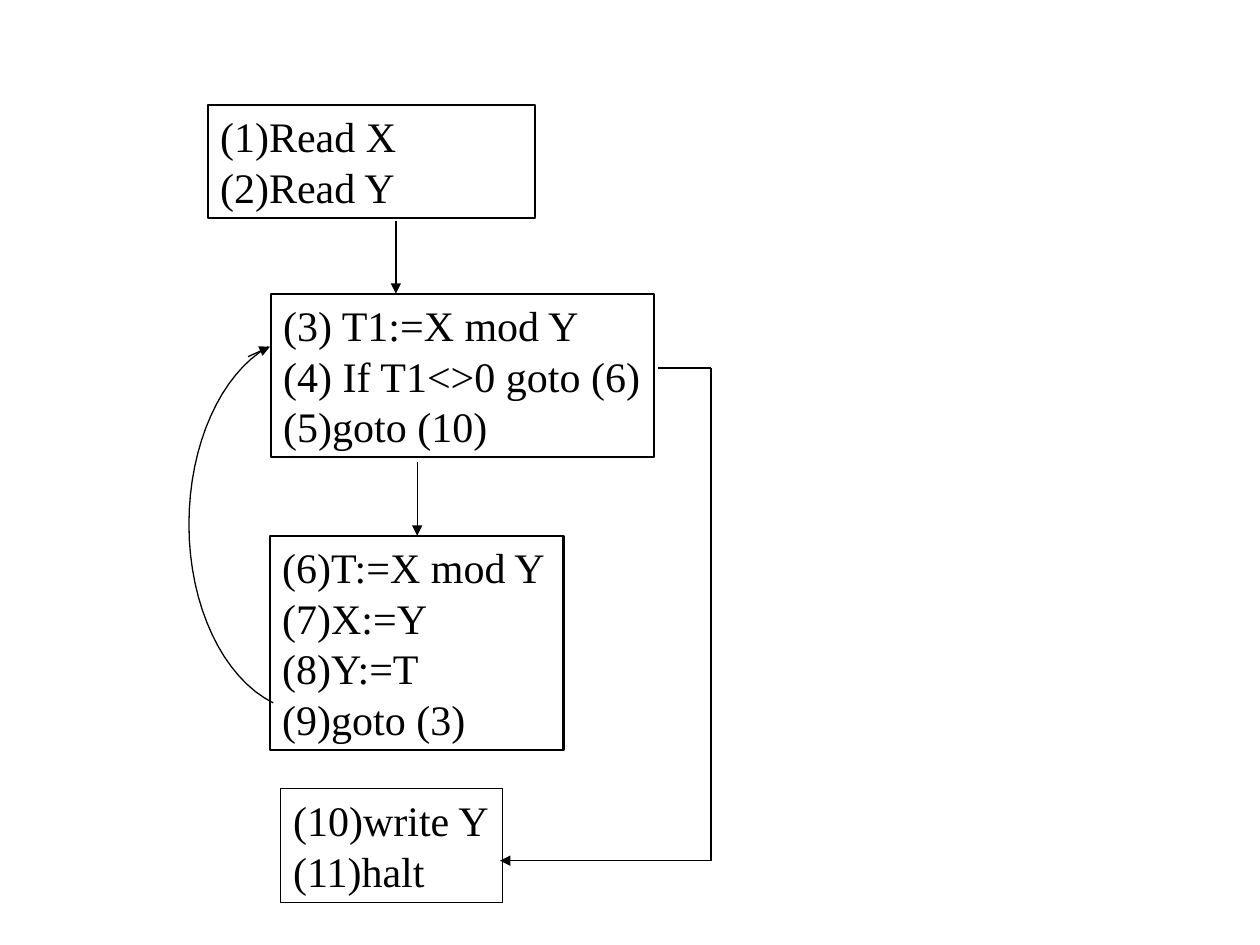
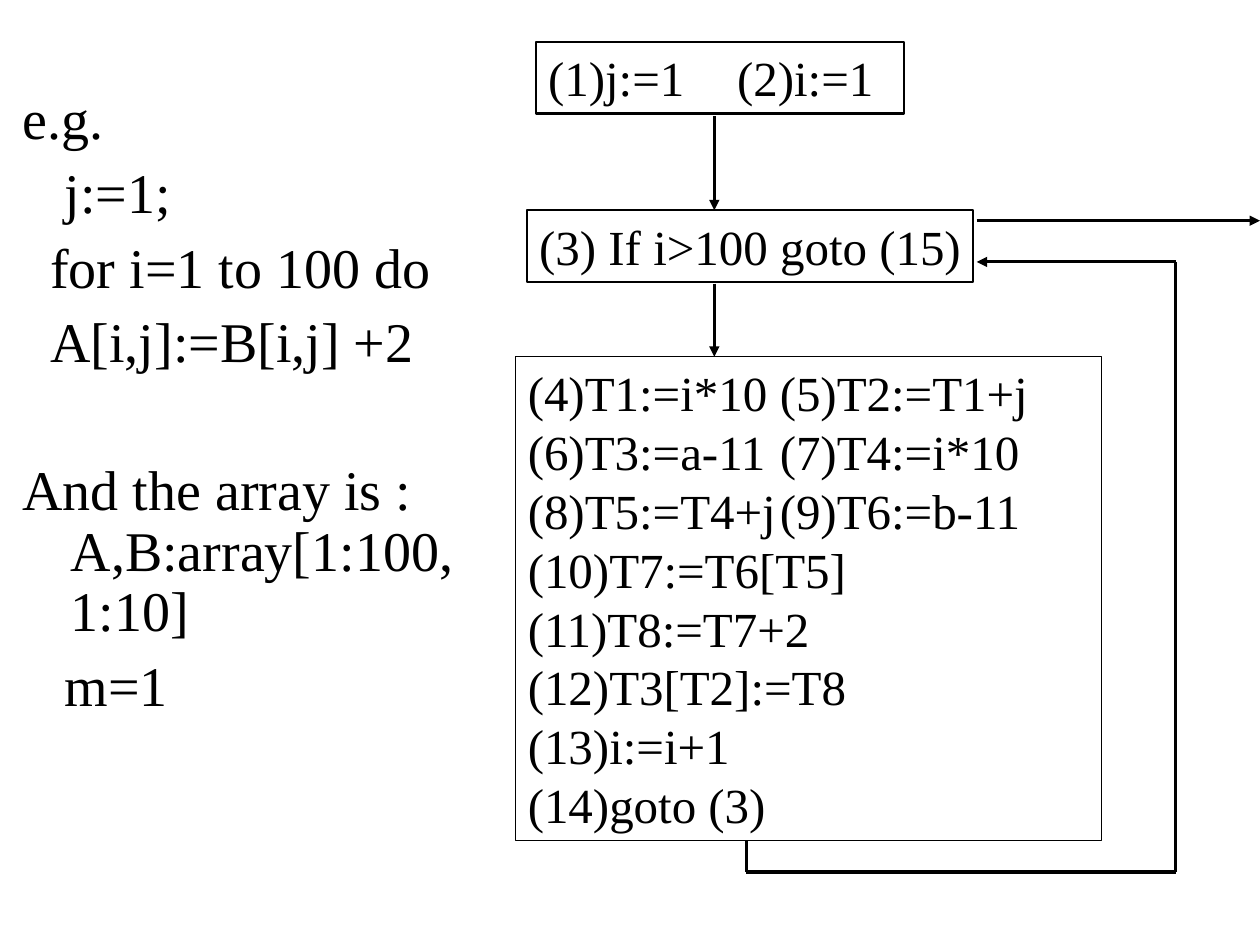
import itertools

import lxml.etree
import pptx
import pptx.dml.color
import pptx.enum.shapes
import pptx.enum.text
import pptx.oxml.ns
import pptx.util

Cm = pptx.util.Cm
Pt = pptx.util.Pt
qn = pptx.oxml.ns.qn

COLOURS = {"ink": "000000", "paper": "FFFFFF"}
FONT = "Times New Roman"
ink = pptx.dml.color.RGBColor.from_string(COLOURS["ink"])
paper = pptx.dml.color.RGBColor.from_string(COLOURS["paper"])


def write_text(frame, lines, size, indents=None, hanging=0, line_spacing=1.0,
               space_before=0, tab_stop=None):
    """Fill a frame, one paragraph a line; indents holds the first-line offset of each, in cm."""
    frame.word_wrap = True
    frame.auto_size = pptx.enum.text.MSO_AUTO_SIZE.NONE
    frame.vertical_anchor = pptx.enum.text.MSO_ANCHOR.TOP
    for index, line in enumerate(lines):
        para = frame.paragraphs[0] if index == 0 else frame.add_paragraph()
        para.alignment = pptx.enum.text.PP_ALIGN.LEFT
        para.line_spacing = line_spacing
        para.space_before = Pt(space_before)
        span = para.add_run()
        span.text = line
        span.font.name = FONT
        span.font.size = Pt(size)
        span.font.color.rgb = ink
        first_line = indents[index] if indents else 0
        properties = para._p.get_or_add_pPr()
        properties.set("marL", str(Cm(hanging)))
        properties.set("indent", str(Cm(first_line - hanging)))
        lxml.etree.SubElement(properties, qn("a:buNone"))
        if tab_stop:
            stops = lxml.etree.SubElement(properties, qn("a:tabLst"))
            lxml.etree.SubElement(stops, qn("a:tab"), pos=str(Cm(tab_stop)), algn="l")


def draw_route(page, points, weight):
    """Join the points with straight lines and put an arrowhead at the last one."""
    for start, end in itertools.pairwise(points):
        line = page.shapes.add_connector(
            pptx.enum.shapes.MSO_CONNECTOR.STRAIGHT, *map(Cm, start + end))
        line.line.color.rgb = ink
        line.line.width = Pt(weight)
        lxml.etree.SubElement(line._element.spPr, qn("a:effectLst"))
    lxml.etree.SubElement(line.line._get_or_add_ln(), qn("a:tailEnd"), type="triangle")


deck = pptx.Presentation()
deck.slide_width = Cm(25.4)
deck.slide_height = Cm(19.05)
gcd_page = deck.slides.add_slide(deck.slide_layouts[6])
loop_page = deck.slides.add_slide(deck.slide_layouts[1])

# Basic blocks: page, (left, top, width, height), border, text size, tab stop, lines
blocks = [
    (gcd_page, (4.19, 2.11, 6.6, 2.29), 1.25, 24, None, ["(1)Read X", "(2)Read Y"]),
    (gcd_page, (5.46, 5.92, 7.72, 3.3), 1.25, 24, None,
     ["(3) T1:=X mod Y", "(4) If T1<>0 goto (6)", "(5)goto (10)"]),
    (gcd_page, (5.44, 10.8, 5.92, 4.32), 1.25, 24, None,
     ["(6)T:=X mod Y", "(7)X:=Y", "(8)Y:=T", "(9)goto (3)"]),
    (gcd_page, (5.66, 15.9, 4.47, 2.29), 0.75, 24, None, ["(10)write Y", "(11)halt"]),
    (loop_page, (10.8, 0.84, 7.42, 1.45), 1.25, 28, 3.73, ["(1)j:=1\t(2)i:=1"]),
    (loop_page, (10.62, 4.24, 8.99, 1.45), 1.25, 28, None, ["(3) If i>100 goto (15)"]),
    (loop_page, (10.39, 7.19, 11.81, 9.75), 0.75, 28, 5.65,
     ["(4)T1:=i*10\t(5)T2:=T1+j", "(6)T3:=a-11\t(7)T4:=i*10",
      "(8)T5:=T4+j\t(9)T6:=b-11", "(10)T7:=T6[T5]", "(11)T8:=T7+2",
      "(12)T3[T2]:=T8", "(13)i:=i+1", "(14)goto (3)"]),
]
for page, place, border, size, tab_stop, lines in blocks:
    box = page.shapes.add_shape(pptx.enum.shapes.MSO_SHAPE.RECTANGLE, *map(Cm, place))
    box.shadow.inherit = False
    box.fill.background()
    box.line.color.rgb = ink
    box.line.width = Pt(border)
    box.text_frame.margin_right = 0
    write_text(box.text_frame, lines, size=size, tab_stop=tab_stop)

# Control flow between the blocks
gcd_routes = [
    [(7.98, 4.45), (7.98, 5.92)],
    [(8.41, 9.32), (8.41, 10.8)],
    [(13.26, 7.42), (14.33, 7.42), (14.33, 17.35), (10.08, 17.35)],
    [(5, 7.19), (5.44, 6.99)],
]
loop_routes = [
    [(14.4, 2.34), (14.4, 4.24)],
    [(14.4, 5.72), (14.4, 7.19)],
    [(15.04, 16.94), (15.04, 17.58), (23.7, 17.58), (23.7, 5.28), (19.69, 5.28)],
    [(19.69, 4.45), (25.4, 4.45)],
]
for page, routes, weight in [(gcd_page, gcd_routes, 0.75), (loop_page, loop_routes, 1.75)]:
    for route in routes:
        draw_route(page, route, weight)

# Curved way back from (9) to (3): two Bezier arcs
arcs = [
    [(5.51, 14.17), (4.5, 13.67), (3.81, 12.22), (3.81, 10.57)],
    [(3.81, 10.57), (3.81, 8.97), (4.45, 7.54), (5.41, 6.99)],
]
steps = 16
curve_points = []
for arc in arcs:
    for step in range(1, steps + 1):
        t = step / steps
        weights = [(1 - t) ** 3, 3 * t * (1 - t) ** 2, 3 * t ** 2 * (1 - t), t ** 3]
        curve_points.append(tuple(
            Cm(sum(weight * point[axis] for weight, point in zip(weights, arc)))
            for axis in (0, 1)))
builder = gcd_page.shapes.build_freeform(*map(Cm, arcs[0][0]))
builder.add_line_segments(curve_points, close=False)
back_curve = builder.convert_to_shape()
back_curve.shadow.inherit = False
back_curve.fill.background()
back_curve.line.color.rgb = ink
back_curve.line.width = Pt(0.75)

# Source program beside the flow graph
title = loop_page.shapes.title
title._element.getparent().remove(title._element)
program = loop_page.placeholders[1]
program.left, program.top, program.width, program.height = map(Cm, (0.2, 1.7, 9.53, 15.88))
write_text(
    program.text_frame,
    ["e.g.", "j:=1;", "for i=1 to 100 do", "A[i,j]:=B[i,j] +2",
     "And the array is : A,B:array[1:100,1:10]", "m=1"],
    size=32, indents=[0, 0.85, 0.56, 0.56, 0, 0.85], hanging=0.97,
    line_spacing=0.9, space_before=8)
program.text_frame.paragraphs[4].space_before = Pt(50)

for page in deck.slides:
    page.background.fill.solid()
    page.background.fill.fore_color.rgb = paper

deck.save("out.pptx")
